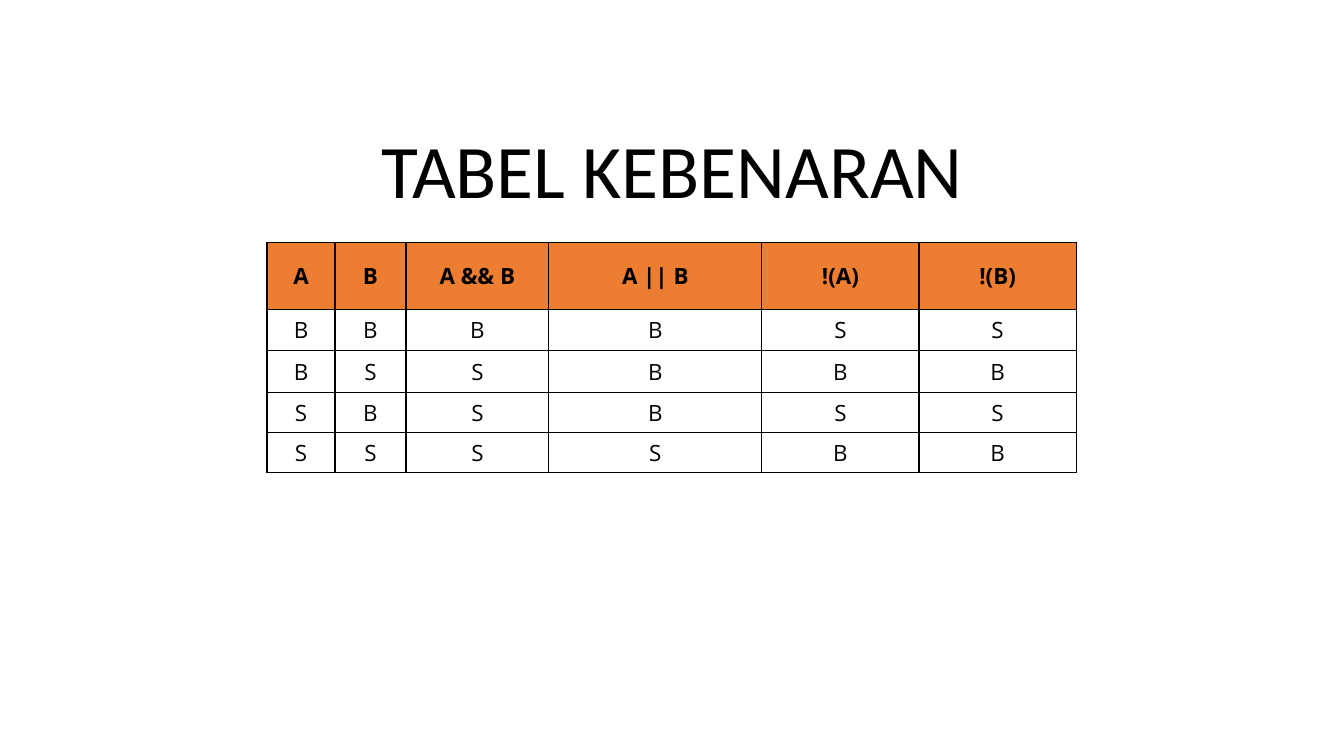
from lxml import etree
from pptx import Presentation
from pptx.dml.color import RGBColor
from pptx.enum.text import MSO_ANCHOR, PP_ALIGN
from pptx.oxml.ns import qn
from pptx.util import Cm, Pt

CENTER = PP_ALIGN.CENTER
MIDDLE, BOTTOM = MSO_ANCHOR.MIDDLE, MSO_ANCHOR.BOTTOM

COLORS = {"ink": "000000", "head": "ED7D31", "body": "FFFFFF"}
TITLE = {"name": "Calibri", "size": Pt(54), "bold": False}
HEAD = {"name": "Open Sans", "size": Pt(16), "bold": True}
BODY = {**HEAD, "bold": False}

WIDTHS = [1.71, 1.79, 3.6, 5.37, 3.96, 3.96]
HEIGHTS = [1.68, 1.04, 1.07, 0.99, 1.02]
TRUTH = [
    ["A", "B", "A && B", "A || B", "!(A)", "!(B)"],
    ["B", "B", "B", "B", "S", "S"],
    ["B", "S", "S", "B", "B", "B"],
    ["S", "B", "S", "B", "S", "S"],
    ["S", "S", "S", "S", "B", "B"],
]


class Board:
    """Holds the colours and the slide being drawn."""

    def __init__(self, slide, colors):
        self.slide = slide
        self.colors = colors

    def color(self, name):
        return RGBColor.from_string(self.colors[name])

    def label(self, frame, text, style):
        """Put styled, centred text in the frame and return its paragraph."""
        para = frame.paragraphs[0]
        para.alignment = CENTER
        run = para.add_run()
        run.text = text
        for key, value in style.items():
            setattr(run.font, key, value)
        run.font.color.rgb = self.color("ink")
        return para

    def title(self, text, left, top, width, height):
        box = self.slide.shapes.add_textbox(Cm(left), Cm(top), Cm(width), Cm(height))
        frame = box.text_frame
        frame.word_wrap = True
        frame.vertical_anchor = BOTTOM
        self.label(frame, text, TITLE).line_spacing = 0.9

    def border(self, cell):
        props = cell._tc.get_or_add_tcPr()
        for side in ("a:lnL", "a:lnR", "a:lnT", "a:lnB"):
            line = etree.SubElement(props, qn(side), w=str(Pt(1)))
            fill = etree.SubElement(line, qn("a:solidFill"))
            etree.SubElement(fill, qn("a:srgbClr"), val=self.colors["ink"])

    def cell(self, cell, text, style, fill):
        self.border(cell)
        cell.fill.solid()
        cell.fill.fore_color.rgb = self.color(fill)
        cell.vertical_anchor = MIDDLE
        self.label(cell.text_frame, text, style)

    def table(self, data, left, top, widths, heights):
        table = self.slide.shapes.add_table(
            len(heights), len(widths), Cm(left), Cm(top),
            Cm(sum(widths)), Cm(sum(heights))).table
        for col, width in zip(table.columns, widths):
            col.width = Cm(width)
        for row, height in zip(table.rows, heights):
            row.height = Cm(height)
        for r, texts in enumerate(data):
            style, fill = (BODY, "body") if r else (HEAD, "head")
            for c, text in enumerate(texts):
                self.cell(table.cell(r, c), text, style, fill)


def main():
    deck = Presentation()
    deck.slide_width, deck.slide_height = Cm(33.87), Cm(19.05)
    board = Board(deck.slides.add_slide(deck.slide_layouts[6]), COLORS)
    board.title("TABEL KEBENARAN", 4.24, 3.12, 25.4, 2.41)
    board.table(TRUTH, 6.73, 6.11, WIDTHS, HEIGHTS)
    deck.save("out.pptx")


if __name__ == "__main__":
    main()
